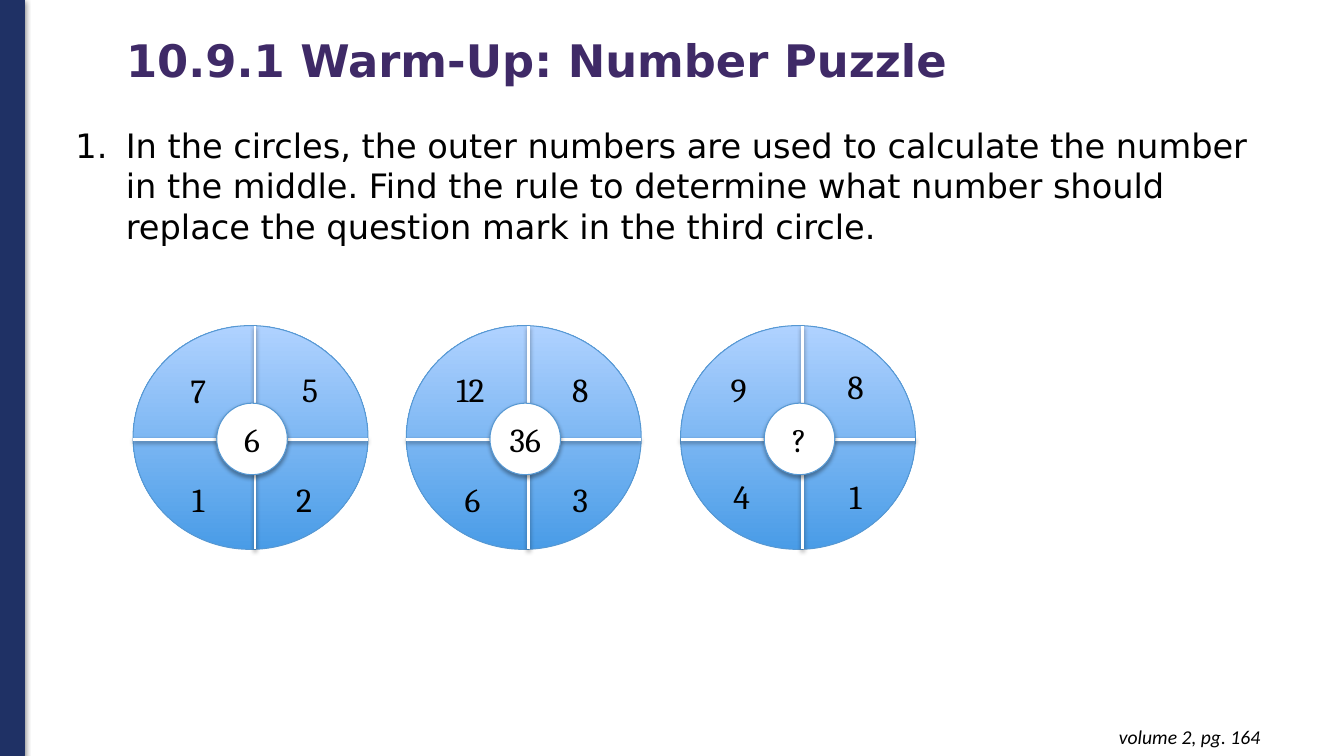
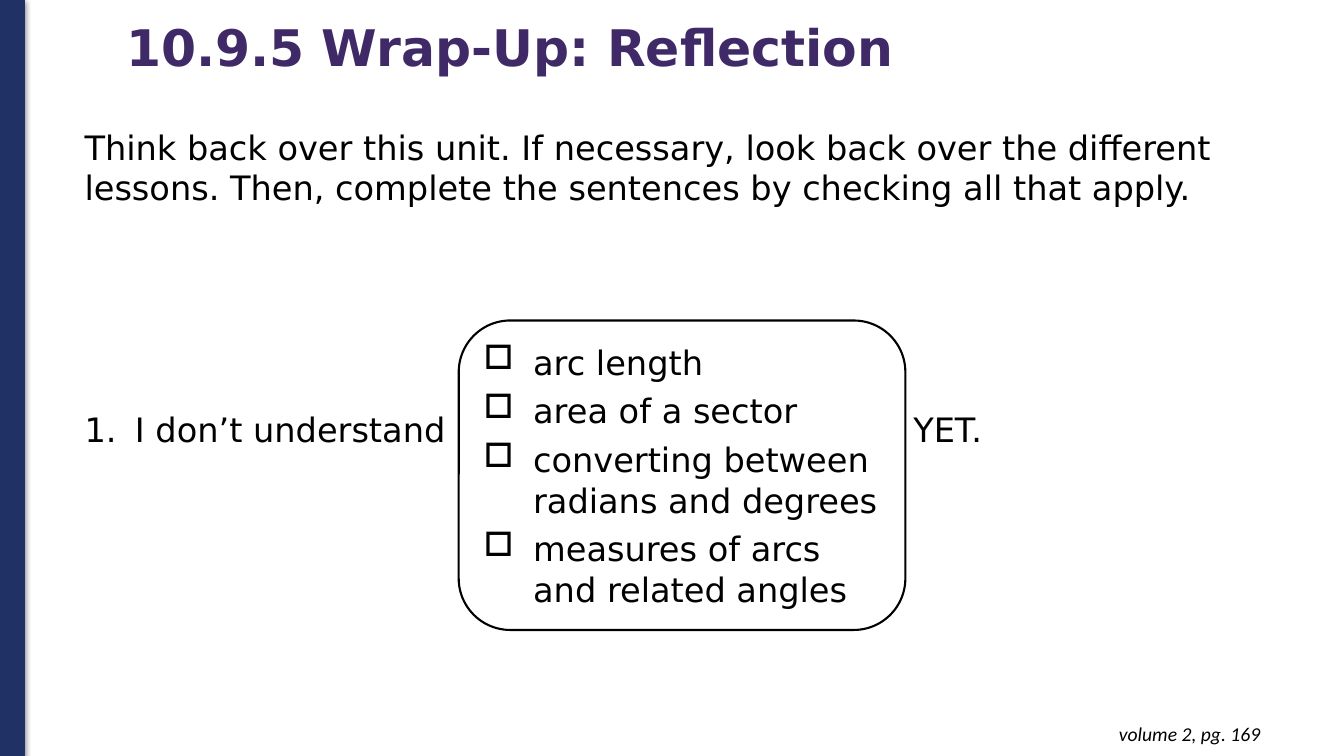
from lxml import etree
from pptx import Presentation
from pptx.dml.color import RGBColor
from pptx.enum.shapes import MSO_CONNECTOR, MSO_SHAPE
from pptx.enum.text import MSO_ANCHOR, MSO_AUTO_SIZE, PP_ALIGN
from pptx.oxml.ns import qn
from pptx.util import Inches, Pt

LEFT, CENTER, RIGHT = PP_ALIGN.LEFT, PP_ALIGN.CENTER, PP_ALIGN.RIGHT
TOP, MIDDLE = MSO_ANCHOR.TOP, MSO_ANCHOR.MIDDLE

# Colours
NAVY = RGBColor(0x1F, 0x31, 0x65)
PURPLE = RGBColor(0x3F, 0x2A, 0x67)
BLACK = RGBColor(0, 0, 0)
WHITE = RGBColor(0xFF, 0xFF, 0xFF)
RIM = RGBColor(0x56, 0x98, 0xD3)
DISC_BOTTOM = RGBColor(0x49, 0x9C, 0xE7)
DISC_TOP = RGBColor(0xB0, 0xD2, 0xFF)

# Text styles
BODY = {"name": "DejaVu Sans", "size": Pt(24)}
NUMBER = {"name": "Cambria", "size": Pt(24)}
FOOTER = {"name": "Calibri", "size": Pt(14), "italic": True}

# Shadows: opacity in percent, blur and distance in points
BAR_SHADOW = (50, 4.5, 1.5)
LINE_SHADOW = (38, 3.1, 1.6)
HUB_SHADOW = (35, 3.1, 1.8)

# Content
PUZZLE = {"title": "10.9.1 Warm-Up: Number Puzzle", "title_size": 32, "title_box": (1.15, 0.33, 8.77, 0.59),
          "footer": "volume 2, pg. 164", "footer_top": 7.09}
PUZZLE_TASK = ("In the circles, the outer numbers are used to calculate the number in the middle. "
               "Find the rule to determine what number should replace the question mark in the third circle.")
# Circle: left, middle text, outer numbers as (text, offset from circle left, top)
CIRCLES = [
    (1.32, "6", [("7", 0.35, 3.62), ("5", 1.46, 3.61), ("1", 0.35, 4.7), ("2", 1.4, 4.7)]),
    (4.03, "36", [("12", 0.34, 3.61), ("8", 1.43, 3.61), ("6", 0.36, 4.7), ("3", 1.43, 4.7)]),
    (6.75, "?", [("9", 0.28, 3.61), ("8", 1.44, 3.58), ("4", 0.31, 4.67), ("1", 1.44, 4.67)]),
]
REFLECTION = {"title": "10.9.5 Wrap-Up: Reflection", "title_size": 36, "title_box": (1.15, 0.17, 8.77, 0.65),
              "footer": "volume 2, pg. 169", "footer_top": 7.06}
REFLECTION_TASK = ("Think back over this unit. If necessary, look back over the different lessons. "
                   "Then, complete the sentences by checking all that apply.")
SENTENCE = ("I don’t understand", "YET.")
TOPICS = ["arc length", "area of a sector", "converting between radians and degrees",
          "measures of arcs and related angles"]

# Circle geometry
DISC_TOP_Y, DISC_W, DISC_H = 3.23, 2.33, 2.22
SPLIT_X, SPLIT_Y = 1.21, 4.36
HUB_X, HUB_Y, HUB_W, HUB_H = 0.83, 4, 0.7, 0.71
NUMBER_BOX = 0.59


def inches(*values):
    return [Inches(v) for v in values]


def style_run(r, style, color=BLACK):
    for key, value in style.items():
        setattr(r.font, key, value)
    r.font.color.rgb = color


def add_shadow(s, opacity, blur, dist):
    """Give a shape or connector a soft shadow falling straight down."""
    effects = s._element.spPr.get_or_add_effectLst() if hasattr(
        s._element.spPr, "get_or_add_effectLst") else etree.SubElement(s._element.spPr, qn("a:effectLst"))
    shadow = etree.SubElement(effects, qn("a:outerShdw"), blurRad=str(Pt(blur)), dist=str(Pt(dist)),
                              dir="5400000", rotWithShape="0")
    color = etree.SubElement(shadow, qn("a:srgbClr"), val="000000")
    etree.SubElement(color, qn("a:alpha"), val=str(opacity * 1000))


def add_bullet(p, tag, indent, **attrs):
    pPr = p._p.get_or_add_pPr()
    pPr.set("marL", str(Inches(indent)))
    pPr.set("indent", str(-Inches(indent)))
    etree.SubElement(pPr, qn(tag), **attrs)


def write(tf, text, style, align=LEFT, anchor=TOP, wrap=True, number=False):
    tf.word_wrap = wrap
    tf.vertical_anchor = anchor
    p = tf.paragraphs[0]
    if number:
        add_bullet(p, "a:buAutoNum", 0.5, type="arabicPeriod")
    p.alignment = align
    r = p.add_run()
    r.text = text
    style_run(r, style)


def add_text(slide, box, text, style, **options):
    tf = slide.shapes.add_textbox(*inches(*box)).text_frame
    write(tf, text, style, **options)
    return tf


def add_shape(slide, kind, box, fill, line, width=0.75):
    s = slide.shapes.add_shape(kind, *inches(*box))
    s.shadow.inherit = False
    if fill is not None:
        s.fill.solid()
        s.fill.fore_color.rgb = fill
    s.line.color.rgb = line
    s.line.width = Pt(width)
    return s


def add_base(prs, info):
    """Title-only slide with the side bar, title and page reference."""
    slide = prs.slides.add_slide(prs.slide_layouts[5])
    bar = add_shape(slide, MSO_SHAPE.RECTANGLE, (0, 0, 0.24, 7.5), NAVY, NAVY)
    add_shadow(bar, *BAR_SHADOW)

    title = slide.shapes.title
    title.left, title.top, title.width, title.height = inches(*info["title_box"])
    tf = title.text_frame
    tf.auto_size = MSO_AUTO_SIZE.NONE
    tf.vertical_anchor = MIDDLE
    p = tf.paragraphs[0]
    p.alignment = LEFT
    p.line_spacing = 0.9
    r = p.add_run()
    r.text = info["title"]
    style_run(r, {"name": "DejaVu Sans", "size": Pt(info["title_size"]), "bold": True}, PURPLE)

    tf = add_text(slide, (9.72, info["footer_top"], 2.88, 0.44), info["footer"], FOOTER, align=RIGHT)
    tf.margin_top = tf.margin_bottom = Inches(0.1)
    return slide


def add_circle(slide, left, middle, numbers):
    # Shaded disc
    disc = add_shape(slide, MSO_SHAPE.OVAL, (left, DISC_TOP_Y, DISC_W, DISC_H), None, RIM)
    disc.fill.gradient()
    disc.fill.gradient_angle = 90
    for stop, color in zip(disc.fill.gradient_stops, (DISC_BOTTOM, DISC_TOP)):
        stop.color.rgb = color

    # Dividing lines
    x = left + SPLIT_X
    for ends in ((x, DISC_TOP_Y, x, DISC_TOP_Y + DISC_H), (left, SPLIT_Y, left + DISC_W, SPLIT_Y)):
        line = slide.shapes.add_connector(MSO_CONNECTOR.STRAIGHT, *inches(*ends))
        line.line.color.rgb = WHITE
        line.line.width = Pt(2)
        add_shadow(line, *LINE_SHADOW)

    # Middle and outer numbers
    hub = add_shape(slide, MSO_SHAPE.OVAL, (left + HUB_X, HUB_Y, HUB_W, HUB_H), WHITE, RIM)
    add_shadow(hub, *HUB_SHADOW)
    write(hub.text_frame, middle, NUMBER, align=CENTER, anchor=MIDDLE, wrap=False)
    for text, dx, top in numbers:
        add_text(slide, (left + dx, top, NUMBER_BOX, NUMBER_BOX), text, NUMBER, align=CENTER)


def build_puzzle(prs):
    slide = add_base(prs, PUZZLE)
    add_text(slide, (0.65, 1.19, 12.07, 1.31), PUZZLE_TASK, BODY, number=True)
    for circle in CIRCLES:
        add_circle(slide, *circle)


def build_reflection(prs):
    slide = add_base(prs, REFLECTION)
    add_text(slide, (0.74, 1.21, 11.86, 0.9), REFLECTION_TASK, BODY)

    # Sentence around the checklist
    start, end = SENTENCE
    add_text(slide, (0.74, 4.01, 3.8, 0.5), start, BODY, number=True)
    add_text(slide, (8.96, 4.01, 1.2, 0.5), end, BODY)

    # Checklist
    box = add_shape(slide, MSO_SHAPE.ROUNDED_RECTANGLE, (4.55, 3.18, 4.43, 3.07), WHITE, BLACK, 1.5)
    tf = box.text_frame
    tf.word_wrap = True
    tf.vertical_anchor = MIDDLE
    for i, topic in enumerate(TOPICS):
        p = tf.add_paragraph() if i else tf.paragraphs[0]
        add_bullet(p, "a:buChar", 0.49, char="□")
        p.alignment = LEFT
        p.space_after = Pt(6)
        r = p.add_run()
        r.text = topic
        style_run(r, BODY)


def main():
    prs = Presentation()
    prs.slide_width, prs.slide_height = inches(13.33, 7.5)
    build_puzzle(prs)
    build_reflection(prs)
    prs.save("out.pptx")


if __name__ == "__main__":
    main()
